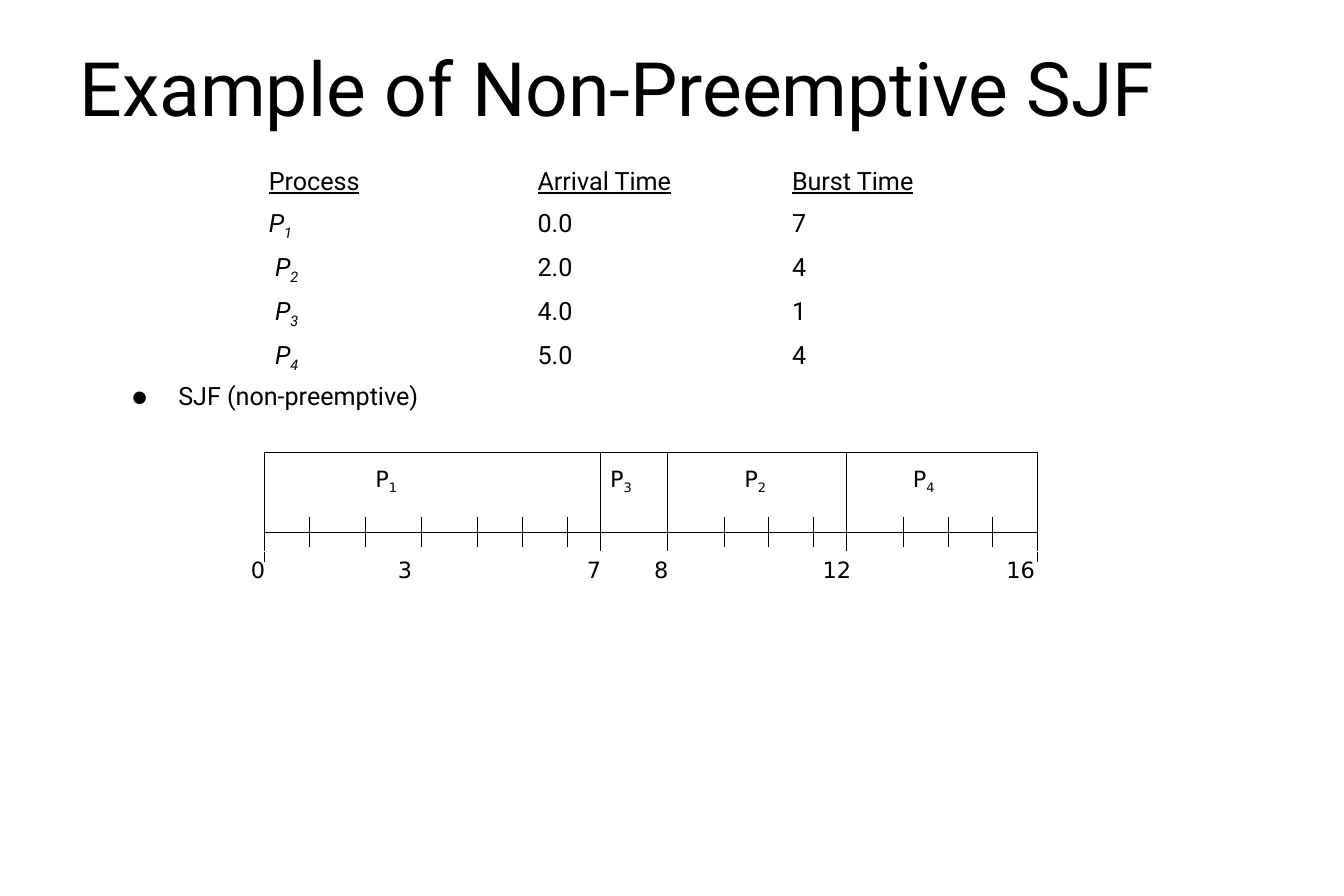
from collections import namedtuple
from dataclasses import dataclass

from lxml import etree
from pptx import Presentation
from pptx.dml.color import RGBColor
from pptx.enum.shapes import MSO_CONNECTOR as Connector, MSO_SHAPE as Preset
from pptx.enum.text import MSO_ANCHOR as Anchor, MSO_AUTO_SIZE as AutoSize, PP_ALIGN as Align
from pptx.oxml.ns import qn
from pptx.util import Inches, Pt


@dataclass(frozen=True)
class Theme:
    """Colours, fonts and sizes of the slide."""
    ink: RGBColor = RGBColor(0, 0, 0)
    paper: RGBColor = RGBColor(255, 255, 255)
    text_font: str = "Roboto"
    chart_font: str = "DejaVu Sans"
    title_size: float = 60.3
    body_size: float = 20.15
    chart_size: float = 18
    line_width: float = 0.75


THEME = Theme()
Box = namedtuple("Box", "left top width height")
TITLE_BOX = Box(0.75, 0.4, 13.5, 1.13)
BODY_BOX = Box(1.32, 1.8, 9.2, 2.75)
GANTT_BOX = Box(2.95, 5.05, 8.63, 0.89)

HEADINGS = ("Process", "Arrival Time", "Burst Time")
PROCESSES = (("1", "0.0", "7"), ("2", "2.0", "4"), ("3", "4.0", "1"), ("4", "5.0", "4"))
TABLE_INDENT = 1.54
COLUMN_WIDTH = 3
BOUNDARIES = (0, 3.75, 4.5, 6.5, 8.63)
TICKS = (0.5, 1.13, 1.75, 2.38, 2.88, 3.38, 5.13, 5.63, 6.13, 7.13, 7.63, 8.13)
BURSTS = (("1", 1.13), ("3", 3.75), ("2", 5.25), ("4", 7.13))
TIMES = (("0", -0.25, False), ("3", 1.39, False), ("7", 3.5, True),
         ("8", 4.25, True), ("12", 6.13, True), ("16", 8.18, False))


def add_run(paragraph, text, size, font, subscript=False, italic=False, underline=False):
    """Append one formatted run to a paragraph."""
    run = paragraph.add_run()
    run.text = text
    run.font.size = Pt(size)
    run.font.name = font
    run.font.color.rgb = THEME.ink
    run.font.italic = italic
    run.font.underline = underline
    if subscript:
        run.font._element.set("baseline", "-25000")


def place_placeholder(shape, box, anchor):
    """Move a placeholder into its box and return its text frame."""
    shape.left, shape.top, shape.width, shape.height = map(Inches, box)
    frame = shape.text_frame
    frame.word_wrap = True
    frame.auto_size = AutoSize.NONE
    frame.vertical_anchor = anchor
    frame.margin_left = frame.margin_right = Inches(0.14)
    frame.margin_top = frame.margin_bottom = Inches(0.07)
    return frame


def add_property(parent, tag, **attributes):
    """Append a DrawingML element with the given attributes."""
    return etree.SubElement(parent, qn(tag), attributes)


def format_row(paragraph, before, margin, indent):
    """Set the spacing and indents of a body paragraph and return its properties."""
    paragraph.alignment = Align.LEFT
    paragraph.line_spacing = 0.95
    paragraph.space_before = Pt(before)
    properties = paragraph._p.get_or_add_pPr()
    properties.set("marL", str(Inches(margin)))
    properties.set("indent", str(Inches(indent)))
    return properties


def set_columns(paragraph, before):
    """Turn a paragraph into a row with evenly tabbed columns and no bullet."""
    properties = format_row(paragraph, before, TABLE_INDENT, 0)
    properties.set("defTabSz", str(Inches(COLUMN_WIDTH)))
    add_property(properties, "a:buNone")


def set_bullet(paragraph, before):
    """Give a paragraph a hanging round bullet."""
    properties = format_row(paragraph, before, 0.53, -0.53)
    colour = add_property(properties, "a:buClr")
    add_property(colour, "a:srgbClr", val=str(THEME.ink))
    add_property(properties, "a:buSzPct", val="116000")
    add_property(properties, "a:buChar", char="●")


def build_title(slide, box):
    """Write the slide title."""
    paragraph = place_placeholder(slide.shapes.title, box, Anchor.MIDDLE).paragraphs[0]
    paragraph.alignment = Align.LEFT
    add_run(paragraph, "Example of Non-Preemptive SJF", THEME.title_size, THEME.text_font)


def build_body(slide, box):
    """List the processes with their times, then the scheduling rule."""
    frame = place_placeholder(slide.placeholders[1], box, Anchor.TOP)
    style = (THEME.body_size, THEME.text_font)
    paragraph = frame.paragraphs[0]
    set_columns(paragraph, 0)
    for column, heading in enumerate(HEADINGS):
        if column:
            add_run(paragraph, "\t", *style)
        add_run(paragraph, heading, *style, underline=True)
    for number, arrival, burst in PROCESSES:
        paragraph = frame.add_paragraph()
        set_columns(paragraph, 9.1)
        if number != "1":
            add_run(paragraph, " ", *style)
        add_run(paragraph, "P", *style, italic=True)
        add_run(paragraph, number, *style, subscript=True, italic=True)
        add_run(paragraph, f"\t{arrival}\t{burst}", *style)
    paragraph = frame.add_paragraph()
    set_bullet(paragraph, 9.1)
    add_run(paragraph, "SJF (non-preemptive)", *style)


def add_box(slide, box, line_colour, filled=True):
    """Draw a thin-lined rectangle."""
    shape = slide.shapes.add_shape(Preset.RECTANGLE, *map(Inches, box))
    shape.shadow.inherit = False
    if filled:
        shape.fill.solid()
        shape.fill.fore_color.rgb = THEME.paper
    else:
        shape.fill.background()
    shape.line.color.rgb = line_colour
    shape.line.width = Pt(THEME.line_width)
    return shape


def add_label(slide, box, text, subscript="", filled=True):
    """Draw a centred chart label with an optional subscript."""
    frame = add_box(slide, box, THEME.paper, filled).text_frame
    frame.word_wrap = False
    frame.vertical_anchor = Anchor.MIDDLE
    paragraph = frame.paragraphs[0]
    paragraph.alignment = Align.CENTER
    add_run(paragraph, text, THEME.chart_size, THEME.chart_font)
    if subscript:
        add_run(paragraph, subscript, THEME.chart_size, THEME.chart_font, subscript=True)


def add_vertical(slide, x, top, bottom):
    """Draw a vertical line."""
    line = slide.shapes.add_connector(
        Connector.STRAIGHT, Inches(x), Inches(top), Inches(x), Inches(bottom))
    line.line.color.rgb = THEME.ink
    line.line.width = Pt(THEME.line_width)
    add_property(line._element.spPr, "a:effectLst")


def build_gantt(slide, box):
    """Draw the schedule bar with its bursts, ticks and times."""
    bottom = box.top + box.height
    add_box(slide, box, THEME.ink)
    for number, offset in BURSTS:
        add_label(slide, Box(box.left + offset, box.top + 0.11, 0.46, 0.4), "P", number)
    for offset in BOUNDARIES[1:-1]:
        add_vertical(slide, box.left + offset, box.top, bottom)
    for offset in BOUNDARIES:
        add_vertical(slide, box.left + offset, bottom, bottom + 0.33)
    for offset in TICKS:
        add_vertical(slide, box.left + offset, bottom - 0.17, bottom + 0.16)
    for time, offset, filled in TIMES:
        width = 0.36 if len(time) == 1 else 0.52
        add_label(slide, Box(box.left + offset, bottom + 0.22, width, 0.4), time, filled=filled)


def main():
    """Build and save the slide."""
    presentation = Presentation()
    presentation.slide_width, presentation.slide_height = Inches(15), Inches(10)
    slide = presentation.slides.add_slide(presentation.slide_layouts[1])
    build_title(slide, TITLE_BOX)
    build_body(slide, BODY_BOX)
    build_gantt(slide, GANTT_BOX)
    presentation.save("out.pptx")


if __name__ == "__main__":
    main()
